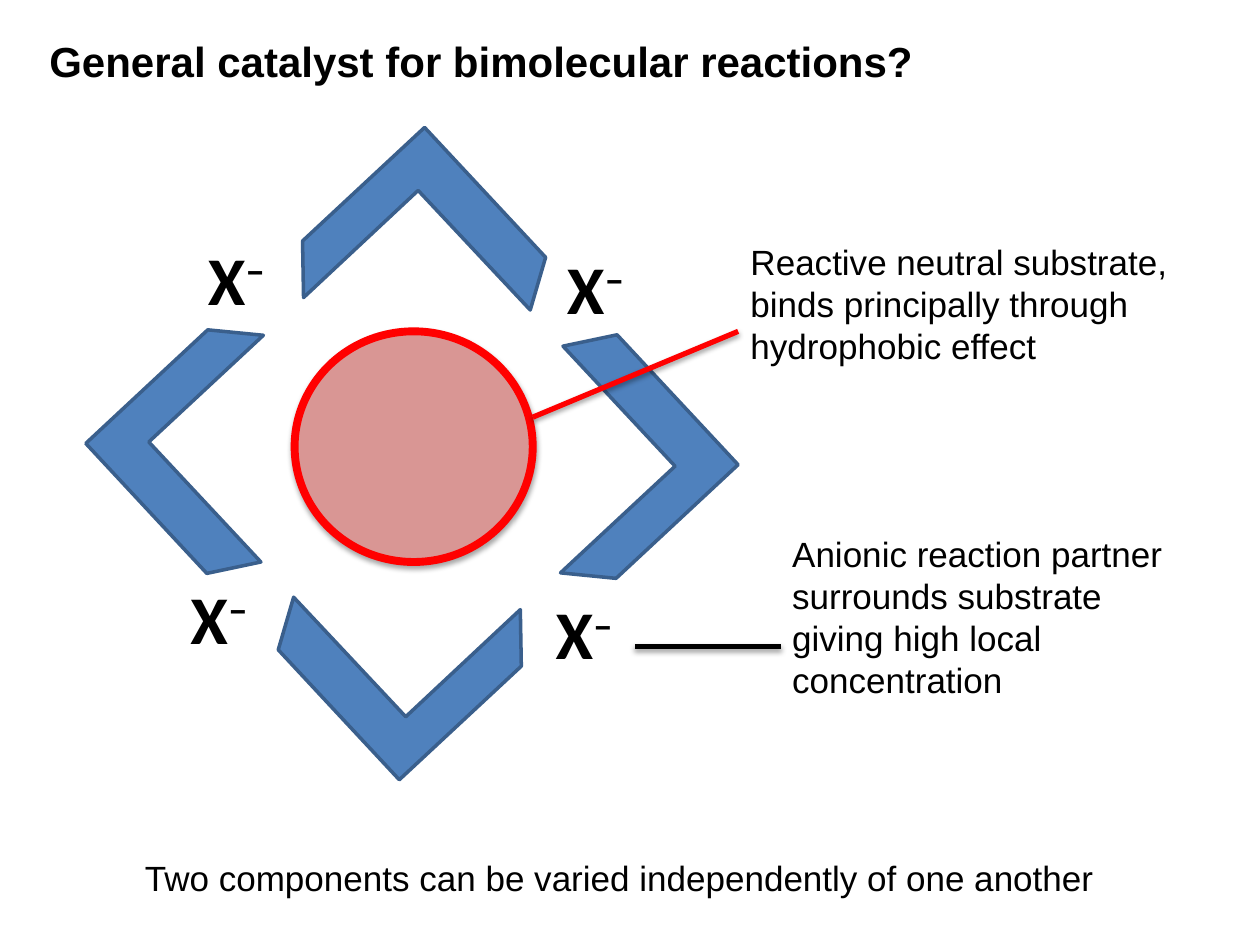
from lxml.etree import SubElement
from pptx import Presentation
from pptx.dml.color import RGBColor
from pptx.enum.shapes import MSO_CONNECTOR, MSO_SHAPE
from pptx.enum.text import MSO_ANCHOR, MSO_AUTO_SIZE, PP_ALIGN
from pptx.oxml.ns import qn
from pptx.util import Cm, Pt

COLORS = {"text": "000000", "bracket": "4F81BD", "bracket_edge": "3A5F8C",
          "substrate": "D99694", "substrate_edge": "FF0000", "shadow": "000000"}

SIDE_BRACKET = [(0, 0), (2.46, -2.29), (3.58, -2.18), (1.27, -0.03), (3.53, 2.39), (2.44, 2.62)]
TOP_BRACKET = [(0, 0), (-2.46, 2.29), (-2.44, 3.43), (-0.13, 1.27), (2.13, 3.68), (2.44, 2.62)]
BRACKETS = [((0, 6.37), SIDE_BRACKET, 1), ((6.83, 0), TOP_BRACKET, 1),
            ((6.32, 13.15), TOP_BRACKET, -1), ((13.15, 6.8), SIDE_BRACKET, -1)]
ANIONS = [(2.33, 2.13), (9.57, 2.31), (9.34, 9.27), (1.98, 8.96)]


def color(name):
    """Return the named colour."""
    return RGBColor.from_string(COLORS[name])


def set_line(shape, name, width):
    """Give a shape or connector a solid line."""
    shape.line.color.rgb = color(name)
    shape.line.width = Pt(width)


def add_shadow(shape, distance, opacity):
    """Add a soft shadow that falls straight down."""
    properties = shape._element.spPr
    for effects in properties.findall(qn("a:effectLst")):
        properties.remove(effects)
    effects = SubElement(properties, qn("a:effectLst"))
    shadow = SubElement(effects, qn("a:outerShdw"), blurRad=str(Pt(3.1)),
                        dist=str(Pt(distance)), dir="5400000", rotWithShape="0")
    tint = SubElement(shadow, qn("a:srgbClr"), val=COLORS["shadow"])
    SubElement(tint, qn("a:alpha"), val=str(opacity * 1000))


def format_font(para, size, name="Arial", bold=False):
    """Set the font of a whole paragraph."""
    para.font.name = name
    para.font.size = Pt(size)
    para.font.bold = bold
    para.font.color.rgb = color("text")


def add_text(page, box, text, wrap=True):
    """Add a 20 point text in the box."""
    frame = page.shapes.add_textbox(*map(Cm, box)).text_frame
    frame.word_wrap = wrap
    frame.auto_size = MSO_AUTO_SIZE.SHAPE_TO_FIT_TEXT
    frame.text = text
    format_font(frame.paragraphs[0], 20)


def add_title(page, box, text):
    """Place and format the title placeholder."""
    title = page.shapes.title
    title.left, title.top, title.width, title.height = map(Cm, box)
    frame = title.text_frame
    frame.text = text
    frame.word_wrap = False
    frame.auto_size = MSO_AUTO_SIZE.SHAPE_TO_FIT_TEXT
    frame.vertical_anchor = MSO_ANCHOR.TOP
    para = frame.paragraphs[0]
    para.alignment = PP_ALIGN.LEFT
    format_font(para, 24, bold=True)


def add_bracket(page, tip, outline, sign):
    """Draw a bracket from its tip; a sign of -1 turns it half round."""
    points = [(Cm(tip[0] + sign * x), Cm(tip[1] + sign * y)) for x, y in outline]
    builder = page.shapes.build_freeform(*points[0])
    builder.add_line_segments(points[1:], close=True)
    bracket = builder.convert_to_shape()
    bracket.shadow.inherit = False
    bracket.fill.solid()
    bracket.fill.fore_color.rgb = color("bracket")
    set_line(bracket, "bracket_edge", 2)


def add_anion(page, left, top):
    """Add an X with a raised minus sign."""
    frame = page.shapes.add_textbox(Cm(left), Cm(top), Cm(1.5), Cm(1.8)).text_frame
    frame.word_wrap = False
    frame.auto_size = MSO_AUTO_SIZE.SHAPE_TO_FIT_TEXT
    frame.margin_left = frame.margin_right = Cm(0.13)
    frame.margin_top = frame.margin_bottom = Cm(0.08)
    para = frame.paragraphs[0]
    para.add_run().text = "X"
    charge = para.add_run()
    charge.text = "–"
    charge.font._element.set("baseline", "30000")
    format_font(para, 39, "Calibri", bold=True)


def add_receptor(page, left, top):
    """Draw the four brackets, the substrate and the anions around it."""
    for (x, y), outline, sign in BRACKETS:
        add_bracket(page, (left + x, top + y), outline, sign)
    substrate = page.shapes.add_shape(MSO_SHAPE.OVAL, Cm(left + 4.21), Cm(top + 4.11),
                                      Cm(4.8), Cm(4.65))
    substrate.fill.solid()
    substrate.fill.fore_color.rgb = color("substrate")
    set_line(substrate, "substrate_edge", 4.5)
    add_shadow(substrate, 1.8, 35)
    for x, y in ANIONS:
        add_anion(page, left + x, top + y)


def add_callout(page, box, text, start, end, line_color):
    """Add an explanation and the line that leads to it."""
    add_text(page, box, text)
    leader = page.shapes.add_connector(MSO_CONNECTOR.STRAIGHT, *map(Cm, start + end))
    set_line(leader, line_color, 3)
    add_shadow(leader, 1.6, 38)


def main():
    """Build and save the slide."""
    deck = Presentation()
    deck.slide_width, deck.slide_height = Cm(25.4), Cm(19.05)
    page = deck.slides.add_slide(deck.slide_layouts[5])
    add_title(page, (0.74, 0.58, 18.08, 1.27), "General catalyst for bimolecular reactions?")
    add_receptor(page, 1.73, 2.57)
    add_callout(page, (14.88, 4.72, 10.08, 2.82),
                "Reactive neutral substrate, binds principally through hydrophobic effect",
                (10.74, 8.41), (14.88, 6.68), "substrate_edge")
    add_callout(page, (15.72, 10.6, 8.41, 3.68),
                "Anionic reaction partner surrounds substrate giving high local concentration",
                (12.8, 13.03), (15.75, 13.03), "text")
    add_text(page, (2.67, 17.15, 19.81, 1.12),
             "Two components can be varied independently of one another", wrap=False)
    deck.save("out.pptx")


if __name__ == "__main__":
    main()
